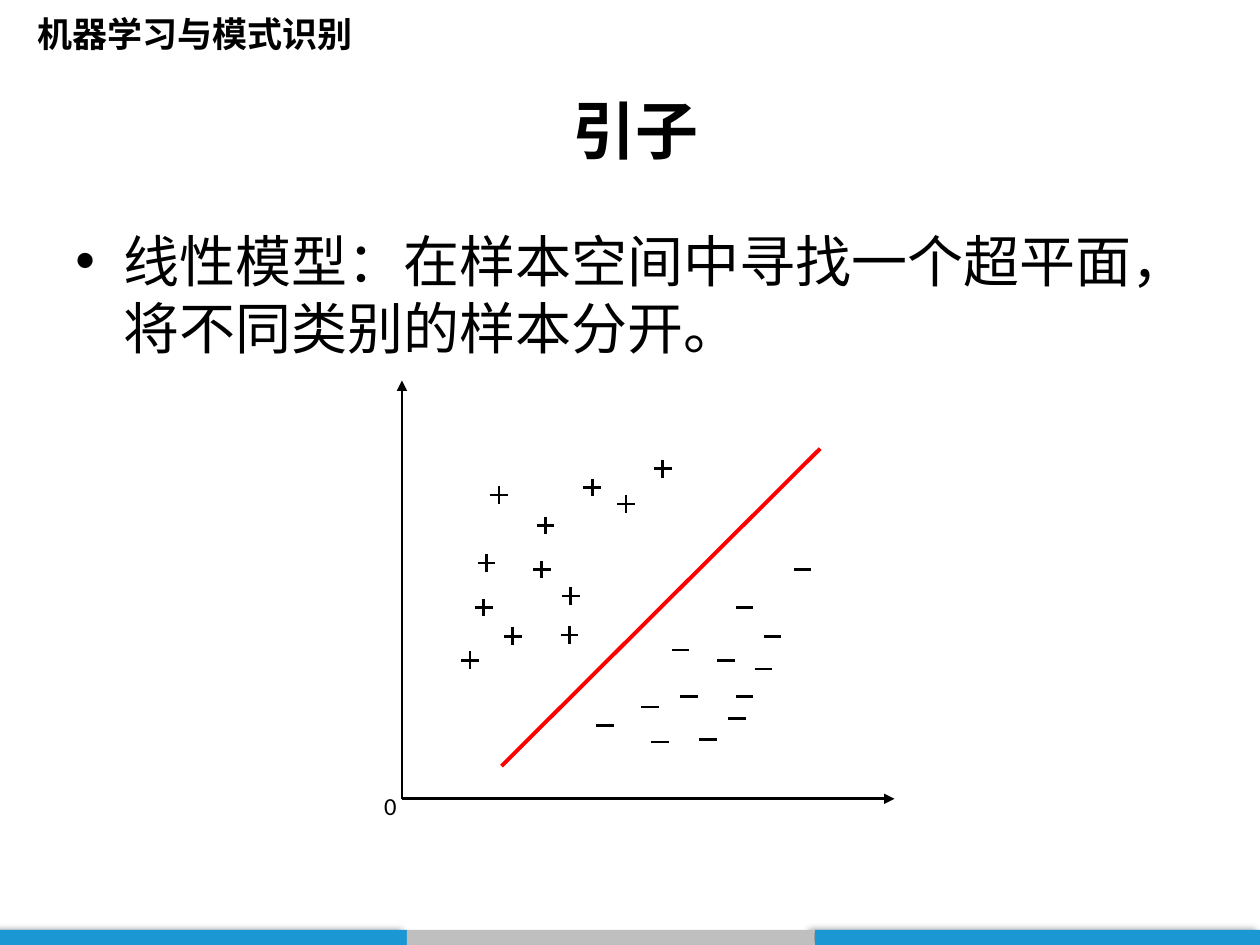
"""Build the introductory slide on linear models and separating hyperplanes."""
import pptx
import pptx.dml.color
import pptx.enum.shapes
import pptx.enum.text
import pptx.oxml
import pptx.oxml.ns
import pptx.util
from pptx.util import Inches

BLACK, RED, BLUE, GREY = "000000", "FF0000", "1B97D4", "BFBFBF"
MARK = 0.14
ORIGIN = (3.19, 6.34)
AXIS_ENDS = [(3.19, 3.02), (7.1, 6.34)]
HYPERPLANE = ((3.98, 6.08), (6.51, 3.56))
FOOTER_TOP, FOOTER_HEIGHT = 7.38, 0.12
FOOTER_BARS = [(6.47, 3.54, BLUE), (0, 3.23, BLUE), (3.23, 3.23, GREY)]

POSITIVES = [
    (4.7, 3.87), (4.53, 4.73), (4.3, 4.52), (3.84, 4.82), (4.07, 5.05), (4.52, 5.04),
    (3.96, 3.93), (5.26, 3.72), (4.97, 4), (3.73, 5.24), (4.33, 4.17), (3.86, 4.47),
]
NEGATIVES = [
    (6.06, 5.31), (5.4, 5.16), (5.24, 5.89), (4.8, 5.76), (5.85, 5.7), (5.91, 5.53),
    (5.16, 5.61), (6.13, 5.05), (5.47, 5.53), (5.62, 5.87), (5.76, 5.24), (5.91, 4.82),
    (6.37, 4.52),
]
TEXTS = [
    dict(box=(0.2, 0.05, 2.74, 0.44), text="机器学习与模式识别", size=20, font="Calibri", bold=True),
    dict(box=(1.93, 0.6, 6.23, 0.86), text="引子", size=36, font="Arial", bold=True,
         wrap=True, centred=True),
    dict(box=(0.5, 1.75, 9, 4.95), text="线性模型：在样本空间中寻找一个超平面，将不同类别的样本分开。",
         size=32, font="Noto Sans CJK SC", wrap=True, bullet="•"),
    dict(box=(2.95, 6.23, 0.3, 0.34), text="0", size=14, font="Calibri"),
]


def colour(value):
    return pptx.dml.color.RGBColor.from_string(value)


def add_element(parent, tag, content="", **attributes):
    values = " ".join(f'{name}="{value}"' for name, value in attributes.items())
    namespace = pptx.oxml.ns.nsdecls("a")
    element = pptx.oxml.parse_xml(f"<a:{tag} {namespace} {values}>{content}</a:{tag}>")
    parent.append(element)


def add_bar(slide, left, width, fill):
    bar = slide.shapes.add_shape(
        pptx.enum.shapes.MSO_SHAPE.RECTANGLE,
        *map(Inches, (left, FOOTER_TOP, width, FOOTER_HEIGHT)))
    bar.fill.solid()
    bar.fill.fore_color.rgb = colour(fill)
    bar.line.fill.background()
    if fill == BLUE:
        shadow = ('<a:outerShdw blurRad="50800" dist="38100" dir="10800000">'
                  '<a:srgbClr val="000000"><a:alpha val="40000"/></a:srgbClr></a:outerShdw>')
        add_element(bar._element.spPr, "effectLst", shadow)
    else:
        bar.shadow.inherit = False


def add_text(slide, box, text, size, font, bold=False, wrap=False, centred=False, bullet=None):
    frame = slide.shapes.add_textbox(*map(Inches, box)).text_frame
    frame.word_wrap = wrap
    paragraph = frame.paragraphs[0]
    if centred:
        frame.vertical_anchor = pptx.enum.text.MSO_ANCHOR.MIDDLE
        paragraph.alignment = pptx.enum.text.PP_ALIGN.CENTER
    if bullet:
        properties = paragraph._p.get_or_add_pPr()
        properties.set("marL", str(Inches(0.38)))
        properties.set("indent", str(Inches(-0.38)))
        add_element(properties, "buFont", typeface="Arial")
        add_element(properties, "buChar", char=bullet)
    run = paragraph.add_run()
    run.text = text
    run.font.size = pptx.util.Pt(size)
    run.font.name = font
    run.font.bold = bold
    run.font.color.rgb = colour(BLACK)


def add_line(slide, start, end, line_colour=BLACK, width=1.5, arrow=False):
    connector = slide.shapes.add_connector(
        pptx.enum.shapes.MSO_CONNECTOR.STRAIGHT, *map(Inches, (*start, *end)))
    connector.line.color.rgb = colour(line_colour)
    connector.line.width = pptx.util.Pt(width)
    if arrow:
        add_element(connector.line._get_or_add_ln(), "tailEnd", type="triangle")
    add_element(connector._element.spPr, "effectLst")


def add_mark(slide, x, y, positive):
    half = MARK / 2
    add_line(slide, (x - half, y), (x + half, y))
    if positive:
        add_line(slide, (x, y - half), (x, y + half))


def main():
    presentation = pptx.Presentation()
    presentation.slide_width, presentation.slide_height = Inches(10), Inches(7.5)
    slide = presentation.slides.add_slide(presentation.slide_layouts[6])
    for bar in FOOTER_BARS:
        add_bar(slide, *bar)
    for item in TEXTS:
        add_text(slide, **item)
    for end in AXIS_ENDS:
        add_line(slide, ORIGIN, end, arrow=True)
    for marks, positive in ((POSITIVES, True), (NEGATIVES, False)):
        for x, y in marks:
            add_mark(slide, x, y, positive)
    add_line(slide, *HYPERPLANE, line_colour=RED, width=2.25)
    presentation.save("out.pptx")


if __name__ == "__main__":
    main()
